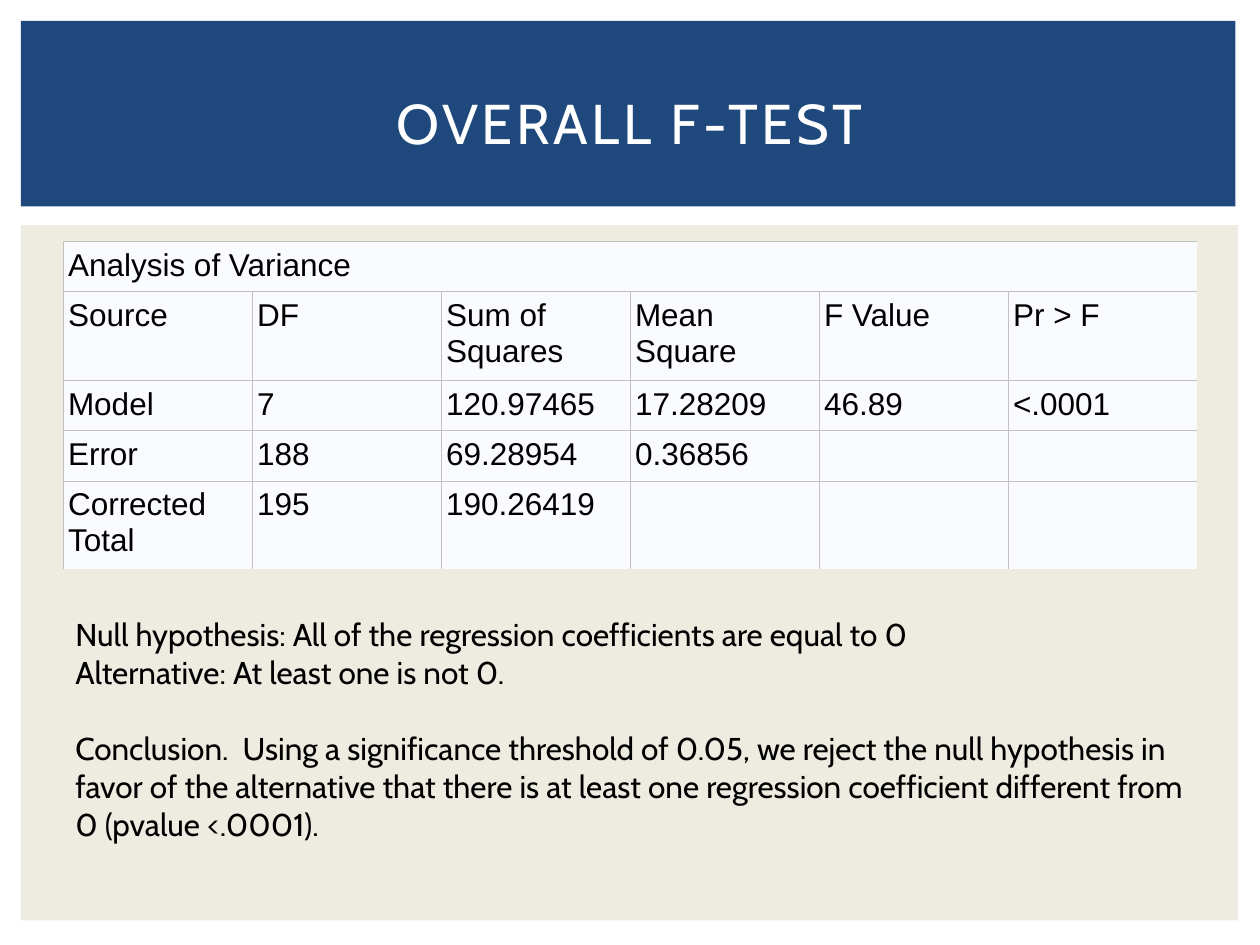
from dataclasses import dataclass

from lxml import etree
from pptx import Presentation
from pptx.dml.color import RGBColor
from pptx.enum import shapes, text
from pptx.oxml import ns
from pptx.util import Pt


@dataclass(frozen=True)
class Theme:
    navy: str = "1F497D"
    sand: str = "EEECE1"
    cell: str = "FAFBFE"
    border: str = "C1C1C1"
    white: str = "FFFFFF"
    black: str = "000000"
    heading_font: str = "Cabin"
    table_font: str = "Arial"
    title_size: float = 32
    body_size: float = 18
    border_width: float = 0.57


THEME = Theme()

ANOVA_TITLE = "Analysis of Variance"
ANOVA_ROWS = [
    ["Source", "DF", "Sum of\nSquares", "Mean\nSquare", "F Value", "Pr > F"],
    ["Model", "7", "120.97465", "17.28209", "46.89", "<.0001"],
    ["Error", "188", "69.28954", "0.36856", "", ""],
    ["Corrected Total", "195", "190.26419", "", "", ""],
]
ONE_LINE, TWO_LINES = 27.5, 47.5
ROW_HEIGHTS = [ONE_LINE, TWO_LINES, ONE_LINE, ONE_LINE, TWO_LINES]

# Each paragraph with the space before it
CONCLUSIONS = [
    ("Null hypothesis: All of the regression coefficients are equal to 0", 0),
    ("Alternative: At least one is not 0.", 0),
    ("Conclusion.  Using a significance threshold of 0.05, we reject the null "
     "hypothesis in favor of the alternative that there is at least one "
     "regression coefficient different from 0 (pvalue <.0001).", 21.8),
]


def write_text(paragraph, content, *, font=THEME.heading_font, size=THEME.body_size,
               color=THEME.black, align=text.PP_ALIGN.LEFT, space_before=0, spacing=0):
    paragraph.text = content
    paragraph.alignment = align
    paragraph.space_before = Pt(space_before)
    for run in paragraph.runs:
        run.font.name = font
        run.font.size = Pt(size)
        run.font.color.rgb = RGBColor.from_string(color)
        if spacing:
            run.font._element.set("spc", str(spacing * 100))


def add_panel(slide, box, color):
    panel = slide.shapes.add_shape(shapes.MSO_SHAPE.RECTANGLE, *map(Pt, box))
    panel.shadow.inherit = False
    panel.fill.solid()
    panel.fill.fore_color.rgb = RGBColor.from_string(color)
    panel.line.fill.background()


def add_text_frame(slide, box, anchor):
    frame = slide.shapes.add_textbox(*map(Pt, box)).text_frame
    frame.word_wrap = True
    frame.vertical_anchor = anchor
    return frame


def add_title(slide, box):
    frame = add_text_frame(slide, box, text.MSO_ANCHOR.MIDDLE)
    write_text(frame.paragraphs[0], "OVERALL F-TEST", size=THEME.title_size,
               color=THEME.white, align=text.PP_ALIGN.CENTER, spacing=2)


def style_cell(cell, visible_sides):
    """Fill the cell and draw a border on the given sides (of L, R, T, B) only."""
    properties = cell._tc.get_or_add_tcPr()
    for side in "LRTB":
        line = etree.SubElement(properties, ns.qn(f"a:ln{side}"),
                                w=str(Pt(THEME.border_width)))
        if side in visible_sides:
            fill = etree.SubElement(line, ns.qn("a:solidFill"))
            etree.SubElement(fill, ns.qn("a:srgbClr"), val=THEME.border)
        else:
            etree.SubElement(line, ns.qn("a:noFill"))
    cell.fill.solid()
    cell.fill.fore_color.rgb = RGBColor.from_string(THEME.cell)
    cell.margin_left = cell.margin_right = Pt(2.9)
    cell.margin_top = cell.margin_bottom = Pt(3.6)


def add_anova_table(slide, box):
    column_count = len(ANOVA_ROWS[0])
    rows = [[ANOVA_TITLE] + [""] * (column_count - 1)] + ANOVA_ROWS
    table = slide.shapes.add_table(len(rows), column_count, *map(Pt, box)).table
    table.first_row = table.horz_banding = False
    for row, height in zip(table.rows, ROW_HEIGHTS):
        row.height = Pt(height)
    for column in table.columns:
        column.width = Pt(box[2] / column_count)

    table.cell(0, 0).merge(table.cell(0, column_count - 1))
    for row_index, row in enumerate(rows):
        for column_index, content in enumerate(row):
            sides = "LT"
            if row_index < len(rows) - 1:
                sides += "B"
            if 0 < row_index and column_index < column_count - 1:
                sides += "R"
            cell = table.cell(row_index, column_index)
            style_cell(cell, sides)
            if content:
                write_text(cell.text_frame.paragraphs[0], content,
                           font=THEME.table_font)


def add_conclusions(slide, box):
    frame = add_text_frame(slide, box, text.MSO_ANCHOR.TOP)
    frame.auto_size = text.MSO_AUTO_SIZE.SHAPE_TO_FIT_TEXT
    for index, (content, gap) in enumerate(CONCLUSIONS):
        paragraph = frame.add_paragraph() if index else frame.paragraphs[0]
        write_text(paragraph, content, space_before=gap)


def main():
    presentation = Presentation()
    presentation.slide_width, presentation.slide_height = Pt(720), Pt(540)
    slide = presentation.slides.add_slide(presentation.slide_layouts[6])

    add_panel(slide, (12, 128.7, 695.5, 397.3), THEME.sand)
    add_panel(slide, (12, 12, 694, 106), THEME.navy)
    add_title(slide, (30, 28, 660, 83))
    add_anova_table(slide, (36, 138, 648, sum(ROW_HEIGHTS)))
    add_conclusions(slide, (36, 348, 648, 137))
    presentation.save("out.pptx")


if __name__ == "__main__":
    main()
